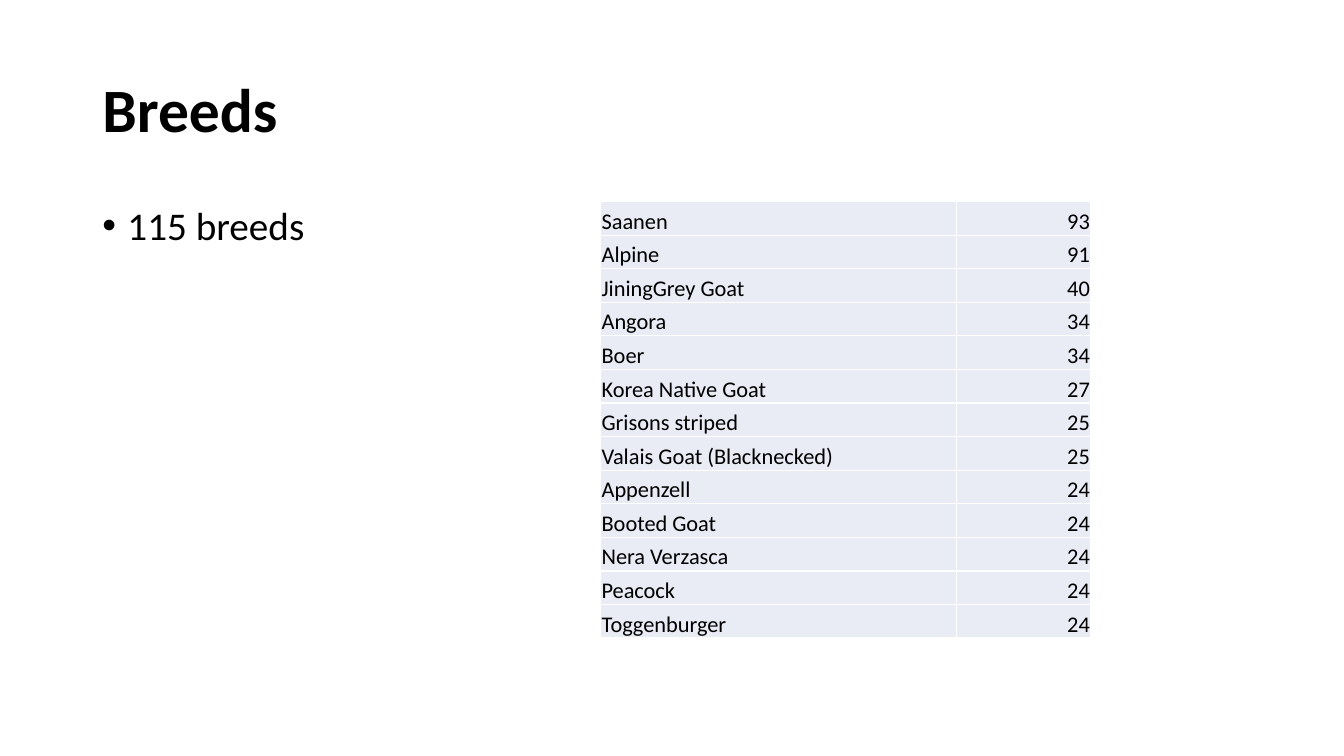
from lxml.etree import SubElement
from pptx import Presentation
from pptx.dml.color import RGBColor
from pptx.enum.text import MSO_ANCHOR as Anchor, PP_ALIGN as Align
from pptx.oxml.ns import qn
from pptx.util import Pt

PX = 9525
FONT = "Calibri"
BLACK = "000000"
WHITE = "FFFFFF"
ROW_TINT = "E9EBF5"

BREED_COUNTS = [
    ("Saanen", 93),
    ("Alpine", 91),
    ("JiningGrey Goat", 40),
    ("Angora", 34),
    ("Boer", 34),
    ("Korea Native Goat", 27),
    ("Grisons striped", 25),
    ("Valais Goat (Blacknecked)", 25),
    ("Appenzell", 24),
    ("Booted Goat", 24),
    ("Nera Verzasca", 24),
    ("Peacock", 24),
    ("Toggenburger", 24),
]


def px(length):
    return length * PX


def color(hex_code):
    return RGBColor.from_string(hex_code)


def write_text(frame, text, size=16, bold=False, align=Align.LEFT,
               line_spacing=None, bullet=None, indent=0):
    paragraph = frame.paragraphs[0]
    if bullet:
        properties = paragraph._p.get_or_add_pPr()
        properties.set("marL", str(px(indent)))
        properties.set("indent", str(-px(indent)))
        SubElement(properties, qn("a:buFont"), typeface="Arial")
        SubElement(properties, qn("a:buChar"), char=bullet)
    paragraph.alignment = align
    if line_spacing:
        paragraph.line_spacing = line_spacing
    run = paragraph.add_run()
    run.text = text
    run.font.name = FONT
    run.font.size = Pt(size)
    run.font.bold = bold
    run.font.color.rgb = color(BLACK)


def add_text(slide, box, text, anchor=Anchor.TOP, **text_format):
    frame = slide.shapes.add_textbox(*map(px, box)).text_frame
    frame.word_wrap = True
    frame.vertical_anchor = anchor
    write_text(frame, text, **text_format)


def set_borders(cell, hex_code, width):
    properties = cell._tc.get_or_add_tcPr()
    for side in ("lnL", "lnR", "lnT", "lnB"):
        border = SubElement(properties, qn(f"a:{side}"), w=str(Pt(width)))
        fill = SubElement(border, qn("a:solidFill"))
        SubElement(fill, qn("a:srgbClr"), val=hex_code)


def fill_cell(cell, text, align):
    cell.margin_left = cell.margin_right = cell.margin_top = px(1)
    cell.margin_bottom = 0
    cell.vertical_anchor = Anchor.BOTTOM
    set_borders(cell, WHITE, 1)
    cell.fill.solid()
    cell.fill.fore_color.rgb = color(ROW_TINT)
    write_text(cell.text_frame, text, align=align)


def add_breed_table(slide, box):
    left, top, width, height = box
    count_width = 128
    table = slide.shapes.add_table(len(BREED_COUNTS), 2, *map(px, box)).table
    table.first_row = False
    table.horz_banding = False
    table.columns[0].width = px(width - count_width)
    table.columns[1].width = px(count_width)
    for row, (breed, count) in zip(table.rows, BREED_COUNTS):
        row.height = px(height // len(BREED_COUNTS))
        fill_cell(row.cells[0], breed, Align.LEFT)
        fill_cell(row.cells[1], str(count), Align.RIGHT)


def add_breeds_slide(deck, box):
    left, top, width, height = box
    slide = deck.slides.add_slide(deck.slide_layouts[6])
    add_text(slide, (left, top, width, 139), "Breeds", anchor=Anchor.MIDDLE,
             size=44, bold=True, line_spacing=0.9)
    body_top = top + 154
    add_text(slide, (left, body_top, width, height - 154), "115 breeds",
             size=28, line_spacing=0.9, bullet="•", indent=24)
    add_breed_table(slide, (left + 484, body_top, 467, 416))


def main():
    deck = Presentation()
    deck.slide_width = px(1280)
    deck.slide_height = px(720)
    add_breeds_slide(deck, (88, 38, 1104, 611))
    deck.save("out.pptx")


if __name__ == "__main__":
    main()
